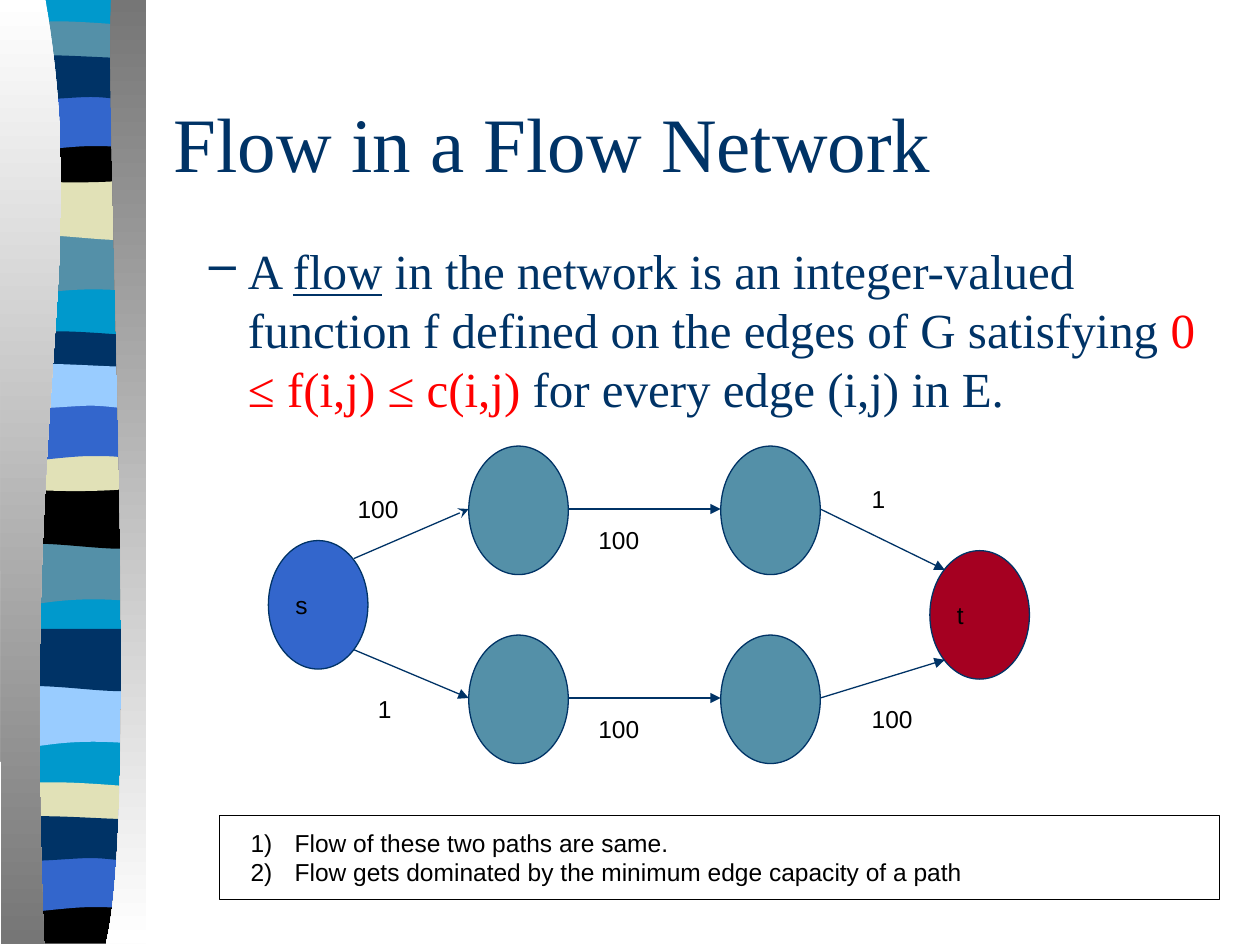
from dataclasses import dataclass

from lxml import etree
from pptx import Presentation
from pptx.dml.color import RGBColor
from pptx.enum import shapes, text
from pptx.oxml import ns
from pptx.util import Inches, Pt


@dataclass(frozen=True)
class Theme:
    navy: str = "003366"
    teal: str = "5490A8"
    blue: str = "3366CC"
    cyan: str = "0099CC"
    sky: str = "99CCFF"
    sand: str = "E1E1B7"
    crimson: str = "A50021"
    red: str = "FF0000"
    black: str = "000000"
    gray: str = "767676"
    white: str = "FFFFFF"
    serif: str = "Times New Roman"
    sans: str = "Arial"
    title_size: int = 44
    body_size: int = 28
    label_size: int = 14
    line_width: float = 0.75


THEME = Theme()
TITLE = {"name": THEME.serif, "size": Pt(THEME.title_size)}
BODY = {"name": THEME.serif, "size": Pt(THEME.body_size)}
LABEL = {"name": THEME.sans, "size": Pt(THEME.label_size)}

LEFT, RIGHT = 0.05, 1.14


def level(y):
    return [(LEFT, y), (RIGHT, y)]


MOTIFS = {
    "wave": (level(0), [(LEFT, 0.47), (0.24, 0.55), (0.39, 0.39), (RIGHT, 0.47)]),
    "swell": (level(0), [(LEFT, 0.47), (0.39, 0.41), (0.96, 0.55), (RIGHT, 0.47)]),
    "thin": ([(LEFT, 0), (0.12, -0.05), (0.29, -0.04), (0.47, -0.04),
              (0.65, -0.04), (1, -0.01), (RIGHT, 0)],
             [(LEFT, 0.25), (0.24, 0.29), (0.96, 0.29), (RIGHT, 0.25)]),
    "dip": ([(LEFT, 0), (0.72, 0.05), (0.91, 0), (RIGHT, 0)],
            [(LEFT, 0.33), (0.24, 0.38), (0.96, 0.38), (RIGHT, 0.33)]),
    "arch": (level(0), [(LEFT, 0.47), (0.22, 0.47), (0.54, 0.42), (0.72, 0.42),
                        (0.9, 0.42), (0.97, 0.42), (RIGHT, 0.47)]),
    "ripple": ([(LEFT, 0), (0.21, -0.05), (0.79, 0), (0.97, 0),
                (1.15, 0), (1.1, 0), (RIGHT, 0)],
               [(LEFT, 0.31), (0.17, 0.36), (0.54, 0.31), (0.72, 0.31),
                (0.9, 0.31), (1.07, 0.36), (RIGHT, 0.31)]),
    "foot": ([(LEFT, 0), (0.71, 0.05), (0.9, 0), (RIGHT, 0)], level(0.37)),
    "backing": (level(0), level(7.48)),
}

BANDS = [
    ("backing", THEME.cyan, -0.01),
    ("wave", THEME.teal, 1.85), ("swell", THEME.sand, 1.41),
    ("thin", THEME.teal, 0.21), ("dip", THEME.black, 1.08),
    ("arch", THEME.blue, 0.74), ("ripple", THEME.navy, 0.46),
    ("wave", THEME.teal, 4.31), ("swell", THEME.black, 3.86),
    ("thin", THEME.navy, 2.67), ("dip", THEME.sand, 3.53),
    ("arch", THEME.blue, 3.2), ("ripple", THEME.sky, 2.91),
    ("wave", THEME.sky, 5.44), ("swell", THEME.navy, 4.99),
    ("thin", THEME.sand, 6.25), ("foot", THEME.black, 7.12),
    ("arch", THEME.blue, 6.78), ("ripple", THEME.navy, 6.5),
]

PILLARS = [
    ([(0.36, -0.01), (0.72, 2.16), (0.17, 2.96), (0.35, 7.49)],
     [(0.01, 7.49), (0, -0.01)], (THEME.white, THEME.gray)),
    ([(0.88, -0.01), (0.84, 1.25), (1.11, 6.46), (0.84, 7.49)],
     [(1.16, 7.49), (1.16, 0)], (THEME.gray, THEME.white)),
]


def color(value):
    return RGBColor.from_string(value)


def apply(target, values):
    for key, value in values.items():
        setattr(target, key, value)


def bend(steps):
    for start in range(0, len(steps), 3):
        cubic = etree.Element(ns.qn("a:cubicBezTo"))
        steps[start].addprevious(cubic)
        for step in steps[start:start + 3]:
            cubic.append(step[0])
            step.getparent().remove(step)


def add_outline(slide, edges, box):
    left, top = box
    corners = [(Inches(left + x), Inches(top + y)) for edge in edges for x, y in edge]
    builder = slide.shapes.build_freeform(*corners[0])
    builder.add_line_segments(corners[1:], close=True)
    outline = builder.convert_to_shape()
    outline.shadow.inherit = False
    outline.line.fill.background()
    steps = list(next(outline._element.iter(ns.qn("a:path"))))
    first = 0
    for edge in edges:
        if len(edge) > 2:
            bend(steps[first + 1:first + len(edge)])
        first += len(edge)
    return outline


def add_ribbon(slide, box):
    left, top = box
    for motif, shade, offset in BANDS:
        upper, lower = MOTIFS[motif]
        strip = add_outline(slide, [upper, lower[::-1]], (left, top + offset))
        strip.fill.solid()
        strip.fill.fore_color.rgb = color(shade)
    for inner, outer, shades in PILLARS:
        pillar = add_outline(slide, [inner, outer], box)
        pillar.fill.gradient()
        pillar.fill.gradient_angle = 270
        for stop, shade in zip(pillar.fill.gradient_stops, shades):
            stop.color.rgb = color(shade)


def set_frame(frame, inset=0.1, anchor=text.MSO_ANCHOR.TOP):
    apply(frame, {"word_wrap": True, "vertical_anchor": anchor,
                  "margin_left": Inches(0.1), "margin_right": Inches(0.1),
                  "margin_top": Inches(inset), "margin_bottom": Inches(inset)})
    return frame


def write(paragraph, words, style, shade, **extra):
    run = paragraph.add_run()
    run.text = words
    apply(run.font, {**style, **extra})
    run.font.color.rgb = color(shade)


def add_bullet(paragraph, margin, hanging, tag, **attributes):
    properties = paragraph._p.get_or_add_pPr()
    properties.set("marL", str(Inches(margin)))
    properties.set("indent", str(-Inches(hanging)))
    etree.SubElement(properties, ns.qn(tag), **attributes)


def add_textbox(slide, box, inset=0.1, anchor=text.MSO_ANCHOR.TOP):
    frame = slide.shapes.add_textbox(*map(Inches, box)).text_frame
    return set_frame(frame, inset, anchor)


def add_title(slide, box):
    frame = add_textbox(slide, box, 0.05, text.MSO_ANCHOR.MIDDLE)
    write(frame.paragraphs[0], "Flow in a Flow Network", TITLE, THEME.navy)


def add_definition(slide, box):
    definition = add_textbox(slide, box, 0.05).paragraphs[0]
    add_bullet(definition, 0.81, 0.31, "a:buChar", char="–")
    write(definition, "A ", BODY, THEME.navy)
    write(definition, "flow", BODY, THEME.navy, underline=True)
    write(definition, " in the network is an integer-valued function f defined on "
          "the edges of G satisfying ", BODY, THEME.navy)
    write(definition, "0 ≤ f(i,j) ≤ c(i,j)", BODY, THEME.red)
    write(definition, " for every edge (i,j) in E.", BODY, THEME.navy)


def style_line(line, shade):
    line.color.rgb = color(shade)
    line.width = Pt(THEME.line_width)


def add_node(slide, box, shade, name):
    node = slide.shapes.add_shape(shapes.MSO_SHAPE.OVAL, *map(Inches, box))
    node.shadow.inherit = False
    node.fill.solid()
    node.fill.fore_color.rgb = color(shade)
    style_line(node.line, THEME.navy)
    if name:
        frame = set_frame(node.text_frame, anchor=text.MSO_ANCHOR.MIDDLE)
        frame.paragraphs[0].alignment = text.PP_ALIGN.LEFT
        write(frame.paragraphs[0], name, LABEL, THEME.black)


def add_edge(slide, start, end, head):
    edge = slide.shapes.add_connector(shapes.MSO_CONNECTOR.STRAIGHT,
                                      *map(Inches, start + end))
    style_line(edge.line, THEME.navy)
    etree.SubElement(edge.line._get_or_add_ln(), ns.qn("a:tailEnd"), type=head)
    etree.SubElement(edge._element.spPr, ns.qn("a:effectLst"))


def add_network(slide, box):
    left, top = box
    width, height = 0.79, 1.02
    nodes = {
        "s": (0, 0.75, THEME.blue, "s"), "upper in": (1.59, 0, THEME.teal, ""),
        "upper out": (3.59, 0, THEME.teal, ""), "t": (5.25, 0.83, THEME.crimson, "t"),
        "lower in": (1.59, 1.5, THEME.teal, ""), "lower out": (3.59, 1.5, THEME.teal, ""),
    }
    west, east = (0, 0.49), (1, 0.49)
    northwest, southwest = (0.15, 0.15), (0.15, 0.85)
    northeast, southeast = (0.86, 0.14), (0.86, 0.85)
    edges = [
        ("s", northeast, "upper in", west, "stealth", "100", (0.61, 0.28)),
        ("upper in", east, "upper out", west, "triangle", "100", (2.52, 0.53)),
        ("upper out", east, "t", northwest, "triangle", "1", (4.69, 0.2)),
        ("s", southeast, "lower in", west, "triangle", "1", (0.77, 1.87)),
        ("lower in", east, "lower out", west, "triangle", "100", (2.52, 2.03)),
        ("lower out", east, "t", southwest, "triangle", "100", (4.69, 1.95)),
    ]

    def site(node, share):
        x, y = nodes[node][:2]
        return left + x + share[0] * width, top + y + share[1] * height

    for x, y, shade, name in nodes.values():
        add_node(slide, (left + x, top + y, width, height), shade, name)
    for source, leave, target, arrive, head, *_ in edges:
        add_edge(slide, site(source, leave), site(target, arrive), head)
    for *_, capacity, (x, y) in edges:
        frame = add_textbox(slide, (left + x, top + y, 1.07, 0.44))
        write(frame.paragraphs[0], capacity, LABEL, THEME.black)


def add_remarks(slide, box):
    panel = slide.shapes.add_shape(shapes.MSO_SHAPE.RECTANGLE, *map(Inches, box))
    panel.shadow.inherit = False
    panel.fill.background()
    style_line(panel.line, THEME.black)
    frame = set_frame(panel.text_frame)
    remarks = ["Flow of these two paths are same.",
               "Flow gets dominated by the minimum edge capacity of a path"]
    for index, remark in enumerate(remarks):
        paragraph = frame.add_paragraph() if index else frame.paragraphs[0]
        paragraph.alignment = text.PP_ALIGN.LEFT
        add_bullet(paragraph, 0.5, 0.35, "a:buAutoNum", type="arabicParenR")
        write(paragraph, remark, LABEL, THEME.black)


def main():
    deck = Presentation()
    deck.slide_width, deck.slide_height = Inches(10), Inches(7.5)
    slide = deck.slides.add_slide(deck.slide_layouts[6])
    add_ribbon(slide, (0, 0))
    add_title(slide, (1.28, 0.5, 8.5, 1.25))
    add_definition(slide, (1.06, 1.86, 8.62, 5.12))
    add_network(slide, (2.13, 3.54))
    add_remarks(slide, (1.74, 6.47, 7.94, 0.67))
    deck.save("out.pptx")


if __name__ == "__main__":
    main()
